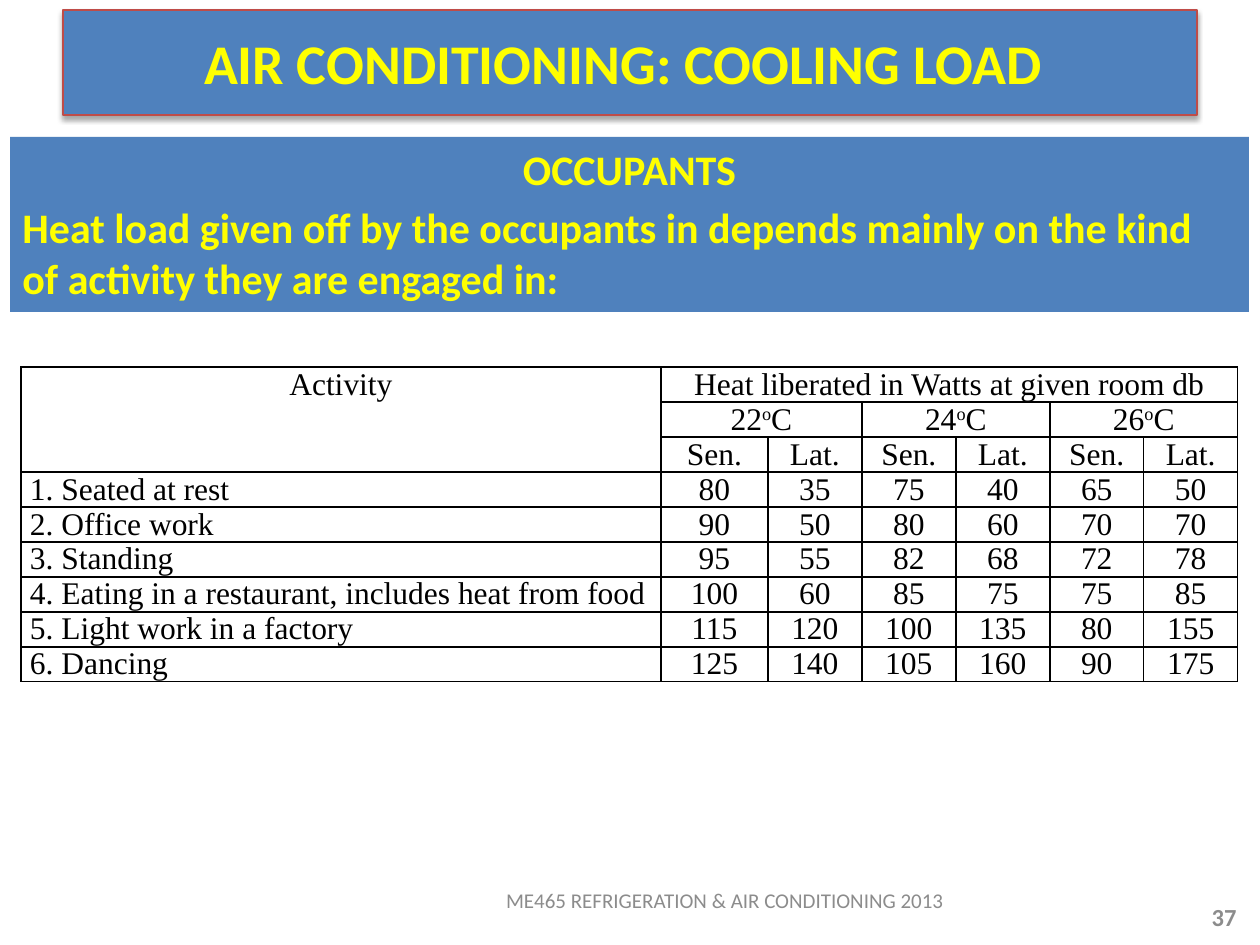
import pptx
import pptx.util
import pptx.dml.color
import pptx.enum.shapes
import pptx.enum.text
import pptx.oxml

PX = 914400 / 126
RGB = pptx.dml.color.RGBColor
BLUE = RGB(0x4F, 0x81, 0xBD)
RED = RGB(0xBF, 0x4C, 0x48)
YELLOW = RGB(0xFF, 0xFF, 0x00)
GREY = RGB(0x8C, 0x8C, 0x8C)
BLACK = RGB(0x00, 0x00, 0x00)
NS = 'xmlns:a="http://schemas.openxmlformats.org/drawingml/2006/main"'
ALIGN = pptx.enum.text.PP_ALIGN
MIDDLE = pptx.enum.text.MSO_ANCHOR.MIDDLE
RECTANGLE = pptx.enum.shapes.MSO_SHAPE.RECTANGLE


def px(*lengths):
    return [round(length * PX) for length in lengths]


def format_text(paragraph, align, size, color, bold=False, font="Calibri"):
    paragraph.alignment = align
    for run in paragraph.runs:
        run.font.name = font
        run.font.size = pptx.util.Pt(size)
        run.font.bold = bold
        run.font.color.rgb = color


deck = pptx.Presentation()
deck.slide_width, deck.slide_height = px(1260, 945)
slide = deck.slides.add_slide(deck.slide_layouts[6])

# Heat load table: column widths and content
COLUMNS = [640, 107, 94, 94, 94, 94, 94]
ROW_HEIGHT = 35
ACTIVITIES = [
    ("1. Seated at rest", 80, 35, 75, 40, 65, 50),
    ("2. Office work", 90, 50, 80, 60, 70, 70),
    ("3. Standing", 95, 55, 82, 68, 72, 78),
    ("4. Eating in a restaurant, includes heat from food", 100, 60, 85, 75, 75, 85),
    ("5. Light work in a factory", 115, 120, 100, 135, 80, 155),
    ("6. Dancing", 125, 140, 105, 160, 90, 175),
]
rows = [
    ("Activity", "Heat liberated in Watts at given room db", "", "", "", "", ""),
    ("", "22", "", "24", "", "26", ""),
    ("",) + ("Sen.", "Lat.") * 3,
] + ACTIVITIES
heat_table = slide.shapes.add_table(
    len(rows), len(COLUMNS),
    *px(21, 367, sum(COLUMNS), ROW_HEIGHT * len(rows))).table
heat_table.first_row = False
heat_table.horz_banding = False
for column, width in zip(heat_table.columns, COLUMNS):
    column.width = px(width)[0]

# Merged headings
heat_table.cell(0, 0).merge(heat_table.cell(2, 0))
heat_table.cell(0, 1).merge(heat_table.cell(0, 6))
for c in (1, 3, 5):
    heat_table.cell(1, c).merge(heat_table.cell(1, c + 1))

# Cell text, borders and fill
for r, values in enumerate(rows):
    heat_table.rows[r].height = px(ROW_HEIGHT)[0]
    for c, value in enumerate(values):
        cell = heat_table.cell(r, c)
        cell.margin_left, cell.margin_right = px(9, 9)
        cell.margin_top = cell.margin_bottom = 0
        paragraph = cell.text_frame.paragraphs[0]
        paragraph.text = str(value)
        if r == 1 and value:
            degree = paragraph.add_run()
            degree.text = "o"
            degree.font._element.set("baseline", "30000")
            paragraph.add_run().text = "C"
        is_activity = c == 0 and r > 2
        format_text(paragraph, ALIGN.LEFT if is_activity else ALIGN.CENTER,
                    18, BLACK, font="Times New Roman")
        if not value:
            paragraph.font.size = pptx.util.Pt(18)
            paragraph.font.name = "Times New Roman"
        borders = cell._tc.get_or_add_tcPr()
        for side in ("lnL", "lnR", "lnT", "lnB"):
            borders.append(pptx.oxml.parse_xml(
                f'<a:{side} {NS} w="12700"><a:solidFill><a:srgbClr val="{BLACK}"/>'
                f'</a:solidFill></a:{side}>'))
        cell.fill.background()

# Footer and page number
for box, text, align, size, bold in [
    ((431, 876, 588, 48), "ME465 REFRIGERATION & AIR CONDITIONING 2013", ALIGN.CENTER, 12, False),
    ((1176, 892, 73, 50), "37", ALIGN.RIGHT, 14, True),
]:
    footer = slide.shapes.add_textbox(*px(*box)).text_frame
    footer.word_wrap = True
    footer.vertical_anchor = MIDDLE
    footer.text = text
    format_text(footer.paragraphs[0], align, size, GREY, bold)

# Occupants banner
occupants = slide.shapes.add_shape(RECTANGLE, *px(10, 137, 1239, 175))
occupants.shadow.inherit = False
occupants.fill.solid()
occupants.fill.fore_color.rgb = BLUE
occupants.line.fill.background()
occupants.text_frame.word_wrap = True
occupants.text_frame.vertical_anchor = pptx.enum.text.MSO_ANCHOR.TOP
occupants.text_frame.text = (
    "OCCUPANTS\nHeat load given off by the occupants in depends mainly on "
    "the kind of activity they are engaged in:")
heading, statement = occupants.text_frame.paragraphs
format_text(heading, ALIGN.CENTER, 24, YELLOW, True)
format_text(statement, ALIGN.LEFT, 24, YELLOW, True)
statement.space_before = pptx.util.Pt(4.8)

# Title bar with a soft shadow below
title = slide.shapes.add_shape(RECTANGLE, *px(63, 10, 1134, 105))
title.shadow.inherit = False
title.fill.solid()
title.fill.fore_color.rgb = BLUE
title.line.color.rgb = RED
title.line.width = pptx.util.Pt(0.75)
title._element.spPr.find(pptx.oxml.ns.qn("a:effectLst")).append(pptx.oxml.parse_xml(
    f'<a:outerShdw {NS} blurRad="39370" dist="22860" dir="5400000" rotWithShape="0">'
    f'<a:srgbClr val="{BLACK}"><a:alpha val="35000"/></a:srgbClr></a:outerShdw>'))
title.text_frame.word_wrap = True
title.text_frame.vertical_anchor = MIDDLE
title.text_frame.text = "AIR CONDITIONING: COOLING LOAD "
format_text(title.text_frame.paragraphs[0], ALIGN.CENTER, 32, YELLOW, True)

deck.save("out.pptx")
